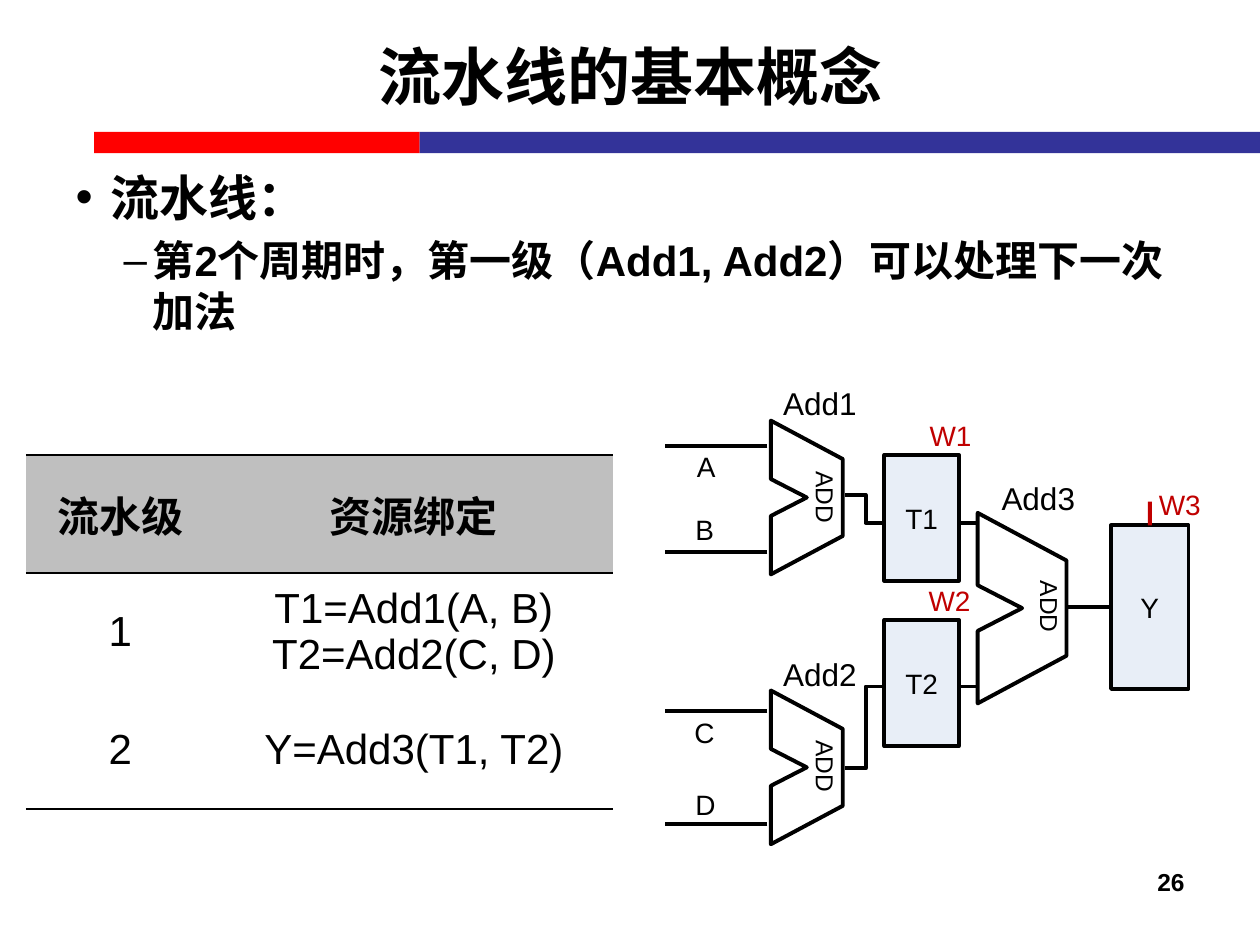
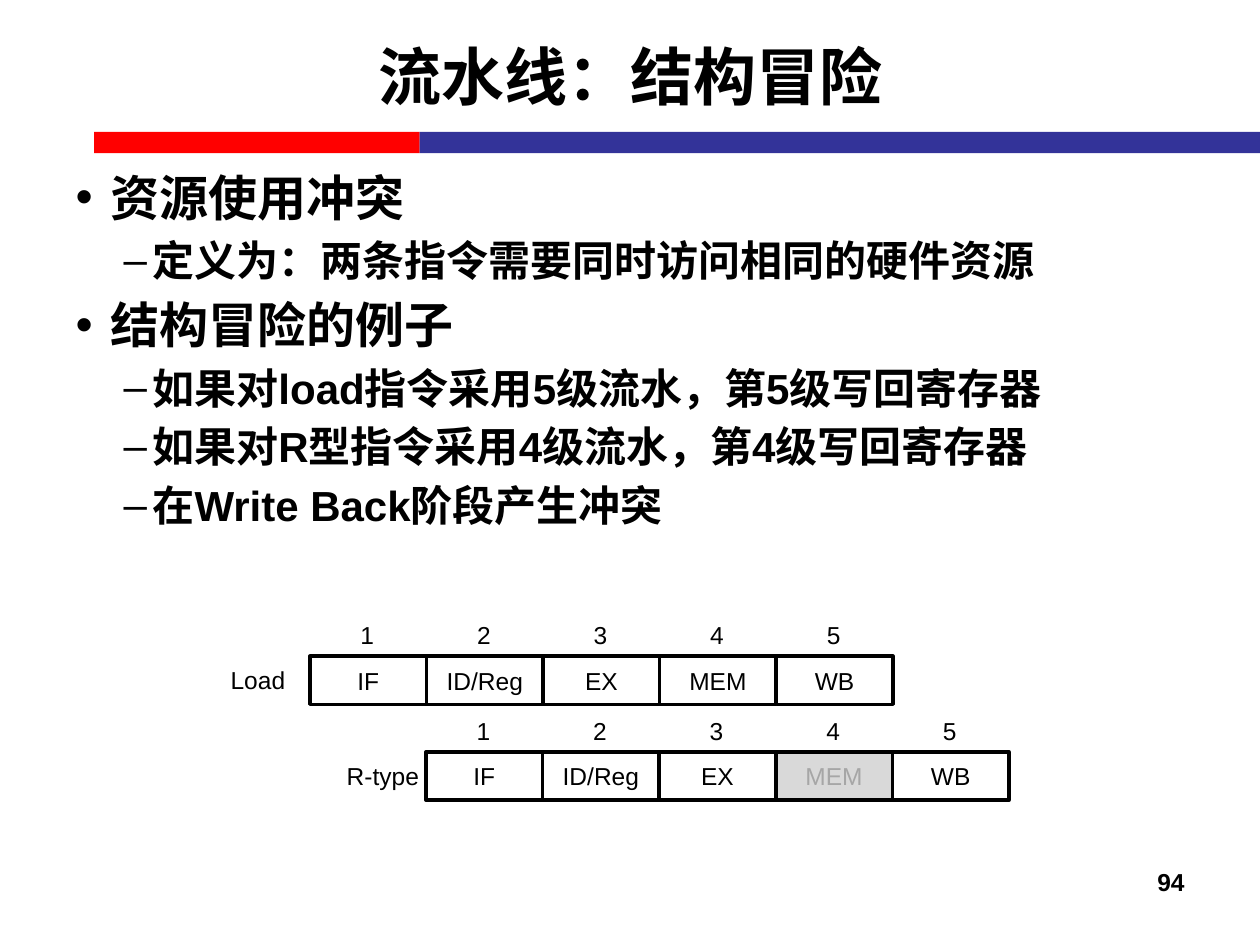
from dataclasses import dataclass

from lxml.etree import SubElement
from pptx import Presentation
from pptx.dml.color import RGBColor
from pptx.enum.shapes import MSO_CONNECTOR, MSO_SHAPE
from pptx.enum.text import MSO_ANCHOR, MSO_AUTO_SIZE, PP_ALIGN
from pptx.oxml.ns import qn
from pptx.util import Cm, Pt

# Shared look
COLORS = {
    "black": "000000", "red": "FF0000", "blue": "333399", "signal": "C00000",
    "header": "BFBFBF", "register": "E8EEF7", "unused": "D9D9D9", "faded": "A6A6A6",
}
FONT = "Arial"
WIRE_WIDTH = 2.25
LINE_HEIGHTS = {14: 0.61, 16: 0.68, 18: 0.76}  # label height by text size


@dataclass(frozen=True)
class Box:
    left: float
    top: float
    width: float
    height: float

    def lengths(self) -> tuple:
        return Cm(self.left), Cm(self.top), Cm(self.width), Cm(self.height)


@dataclass(frozen=True)
class Label:
    text: str
    left: float
    top: float
    width: float
    size: int = 16
    color: str = "black"
    rotation: int = 0


@dataclass(frozen=True)
class Bullet:
    text: str
    level: int = 0


@dataclass(frozen=True)
class BulletStyle:
    size: int
    left: float
    indent: float


@dataclass(frozen=True)
class Instruction:
    name: str
    left: float
    top: float
    unused_stage: str = ""


BULLET_STYLES = [BulletStyle(28, 0.71, -0.71), BulletStyle(24, 1.55, -0.58)]
TITLE_BOX = Box(1.27, 0.38, 22.86, 2.29)
BODY_BOX = Box(1.27, 3.25, 22.86, 12.57)
NUMBER_BOX = Box(18.21, 17.35, 5.92, 1.32)
BANDS = [("red", Box(1.9, 2.66, 6.56, 0.43)), ("blue", Box(8.46, 2.66, 16.94, 0.43))]

# Slide 1: table and adder circuit
TABLE_BOX = Box(0.52, 9.17, 11.84, 7.14)
COLUMN_WIDTHS = [3.81, 8.03]
TABLE_ROWS = [
    ("流水级", "资源绑定"),
    ("1", "T1=Add1(A, B)\nT2=Add2(C, D)"),
    ("2", "Y=Add3(T1, T2)"),
]
ADDERS = [
    Box(15.54, 8.48, 1.45, 3.1),
    Box(15.54, 13.92, 1.45, 3.1),
    Box(19.71, 10.34, 1.79, 3.84),
]
ADDER_OUTLINE = [(0, 0), (1, 0.25), (1, 0.75), (0, 1), (0, 0.62), (0.5, 0.5), (0, 0.38)]
INPUT_HEIGHTS = [8.99, 11.13, 14.33, 16.61]
REGISTER_WIRES = [
    [(17.04, 9.98), (17.45, 9.98), (17.45, 10.54), (19.71, 10.54)],
    [(17.04, 15.49), (17.45, 15.49), (17.45, 13.84), (19.71, 13.84)],
]
REGISTERS = [("T1", Box(17.83, 9.17, 1.5, 2.54)), ("T2", Box(17.83, 12.5, 1.5, 2.54))]
RESULT_BOX = Box(22.4, 10.59, 1.56, 3.3)
CIRCUIT_LABELS = [
    Label("Add1", 15.79, 7.75, 1.8, 18),
    Label("Add2", 15.79, 13.21, 1.8, 18),
    Label("Add3", 20.19, 9.66, 1.8, 18),
    Label("W1", 18.74, 8.44, 1.1, color="signal"),
    Label("W2", 18.72, 11.76, 1.1, color="signal"),
    Label("W3", 23.36, 9.83, 1.1, color="signal"),
    Label("A", 14.05, 9.07, 0.5),
    Label("B", 14.02, 10.34, 0.5),
    Label("C", 14, 14.43, 0.5),
    Label("D", 14.02, 15.88, 0.5),
    Label("ADD", 16.1, 9.73, 1.07, 14, rotation=90),
    Label("ADD", 16.1, 15.16, 1.07, 14, rotation=90),
    Label("ADD", 20.62, 11.94, 1.07, 14, rotation=90),
]

# Slide 2: pipeline stages
STAGES = ["IF", "ID/Reg", "EX", "MEM", "WB"]
STAGE_WIDTH, STAGE_HEIGHT = 2.35, 0.97
NAME_WIDTH = 1.55
INSTRUCTIONS = [
    Instruction("Load", 6.25, 13.23),
    Instruction("R-type", 8.59, 15.16, "MEM"),
]


def rgb(name: str) -> RGBColor:
    return RGBColor.from_string(COLORS[name])


def add_run(paragraph, text: str, size: int, color: str = "black", bold: bool = False) -> None:
    run = paragraph.add_run()
    run.text = text
    run.font.name = FONT
    run.font.size = Pt(size)
    run.font.bold = bold
    run.font.color.rgb = rgb(color)


def clear_margins(frame) -> None:
    frame.margin_left = frame.margin_right = frame.margin_top = frame.margin_bottom = 0


def style_shape(shape, fill: str = "", line: str = "", line_width: float = WIRE_WIDTH) -> None:
    shape.shadow.inherit = False
    if fill:
        shape.fill.solid()
        shape.fill.fore_color.rgb = rgb(fill)
    else:
        shape.fill.background()
    if line:
        shape.line.color.rgb = rgb(line)
        shape.line.width = Pt(line_width)
    else:
        shape.line.fill.background()


def add_text_rectangle(slide, box: Box, text: str, size: int, fill: str = "",
                       color: str = "black", line_width: float = WIRE_WIDTH):
    shape = slide.shapes.add_shape(MSO_SHAPE.RECTANGLE, *box.lengths())
    style_shape(shape, fill, "black", line_width)
    frame = shape.text_frame
    frame.word_wrap = False
    frame.vertical_anchor = MSO_ANCHOR.MIDDLE
    clear_margins(frame)
    frame.paragraphs[0].alignment = PP_ALIGN.CENTER
    add_run(frame.paragraphs[0], text, size, color)
    return shape


def add_label(slide, label: Label, alignment=PP_ALIGN.LEFT) -> None:
    box = Box(label.left, label.top, label.width, LINE_HEIGHTS[label.size])
    shape = slide.shapes.add_textbox(*box.lengths())
    shape.rotation = label.rotation
    shape.text_frame.word_wrap = False
    clear_margins(shape.text_frame)
    paragraph = shape.text_frame.paragraphs[0]
    paragraph.alignment = alignment
    add_run(paragraph, label.text, label.size, label.color)


def add_wire(slide, start: tuple, end: tuple, color: str = "black"):
    lengths = [Cm(value) for value in start + end]
    connector = slide.shapes.add_connector(MSO_CONNECTOR.STRAIGHT, *lengths)
    connector.line.color.rgb = rgb(color)
    connector.line.width = Pt(WIRE_WIDTH)
    SubElement(connector._element.spPr, qn("a:effectLst"))
    return connector


def add_outline(slide, points: list, close: bool) -> None:
    vertices = [(Cm(x), Cm(y)) for x, y in points]
    builder = slide.shapes.build_freeform(*vertices[0])
    builder.add_line_segments(vertices[1:], close=close)
    style_shape(builder.convert_to_shape(), line="black")


def place(shape, box: Box) -> None:
    shape.left, shape.top, shape.width, shape.height = box.lengths()


def add_content_slide(presentation, title: str, bullets: list, number: int):
    slide = presentation.slides.add_slide(presentation.slide_layouts[1])
    for color, box in BANDS:
        style_shape(slide.shapes.add_shape(MSO_SHAPE.RECTANGLE, *box.lengths()), color)

    place(slide.shapes.title, TITLE_BOX)
    title_paragraph = slide.shapes.title.text_frame.paragraphs[0]
    title_paragraph.alignment = PP_ALIGN.CENTER
    add_run(title_paragraph, title, 36, bold=True)

    body = slide.placeholders[1]
    place(body, BODY_BOX)
    frame = body.text_frame
    frame.auto_size = MSO_AUTO_SIZE.NONE
    for index, bullet in enumerate(bullets):
        paragraph = frame.add_paragraph() if index else frame.paragraphs[0]
        paragraph.level = bullet.level
        if index == 0:
            paragraph.space_before = Pt(0)
        style = BULLET_STYLES[bullet.level]
        properties = paragraph._p.get_or_add_pPr()
        properties.set("marL", str(Cm(style.left)))
        properties.set("indent", str(Cm(style.indent)))
        add_run(paragraph, bullet.text, style.size, bold=True)

    number_shape = slide.shapes.add_textbox(*NUMBER_BOX.lengths())
    number_shape.text_frame.word_wrap = True
    number_paragraph = number_shape.text_frame.paragraphs[0]
    number_paragraph.alignment = PP_ALIGN.RIGHT
    add_run(number_paragraph, str(number), 14, bold=True)
    return slide


def set_borders(cell, visible: set) -> None:
    properties = cell._tc.get_or_add_tcPr()
    for side in "LRTB":
        border = SubElement(properties, qn(f"a:ln{side}"), w=str(Pt(1)))
        if side in visible:
            fill = SubElement(border, qn("a:solidFill"))
            SubElement(fill, qn("a:srgbClr"), val=COLORS["black"])
        else:
            SubElement(border, qn("a:noFill"))


def add_binding_table(slide) -> None:
    row_count = len(TABLE_ROWS)
    table = slide.shapes.add_table(row_count, len(COLUMN_WIDTHS), *TABLE_BOX.lengths()).table
    table.first_row = table.horz_banding = False
    for column, width in zip(table.columns, COLUMN_WIDTHS):
        column.width = Cm(width)
    borders = [{"T", "B"}, {"T"}, {"B"}]
    for row_index, texts in enumerate(TABLE_ROWS):
        table.rows[row_index].height = Cm(TABLE_BOX.height / row_count)
        is_header = row_index == 0
        for column_index, text in enumerate(texts):
            cell = table.cell(row_index, column_index)
            set_borders(cell, borders[row_index])
            if is_header:
                cell.fill.solid()
                cell.fill.fore_color.rgb = rgb("header")
            else:
                cell.fill.background()
            cell.vertical_anchor = MSO_ANCHOR.MIDDLE
            frame = cell.text_frame
            for line_index, line in enumerate(text.split("\n")):
                paragraph = frame.add_paragraph() if line_index else frame.paragraphs[0]
                paragraph.alignment = PP_ALIGN.CENTER
                add_run(paragraph, line, 24, bold=is_header)


def add_circuit(slide) -> None:
    for height in INPUT_HEIGHTS:
        add_wire(slide, (15.47, height), (13.41, height))
    for points in REGISTER_WIRES:
        add_outline(slide, points, close=False)
    for box in ADDERS:
        points = [(box.left + x * box.width, box.top + y * box.height) for x, y in ADDER_OUTLINE]
        add_outline(slide, points, close=True)
    for name, box in REGISTERS:
        add_text_rectangle(slide, box, name, 16, "register")

    # Result register with its input and write signal
    result = add_text_rectangle(slide, RESULT_BOX, "Y", 16, "register")
    add_wire(slide, (21.5, 12.24), (22.4, 12.24)).end_connect(result, 1)
    add_wire(slide, (23.18, 10.59), (23.18, 10.11), "signal").begin_connect(result, 0)
    for label in CIRCUIT_LABELS:
        add_label(slide, label)


def add_pipeline(slide, instruction: Instruction) -> None:
    left, top = instruction.left, instruction.top
    add_label(slide, Label(instruction.name, left - 1.6, top + 0.18, NAME_WIDTH, 14))
    for index, stage in enumerate(STAGES):
        stage_left = left + index * STAGE_WIDTH
        add_label(slide, Label(str(index + 1), stage_left + 0.76, top - 0.73, 0.79, 14),
                  PP_ALIGN.CENTER)
        fill, color = ("unused", "faded") if stage == instruction.unused_stage else ("", "black")
        box = Box(stage_left, top, STAGE_WIDTH, STAGE_HEIGHT)
        add_text_rectangle(slide, box, stage, 14, fill, color, line_width=2)


def main() -> None:
    presentation = Presentation()
    presentation.slide_width, presentation.slide_height = Cm(25.4), Cm(19.05)

    concept = add_content_slide(presentation, "流水线的基本概念", [
        Bullet("流水线："),
        Bullet("第2个周期时，第一级（Add1, Add2）可以处理下一次加法", 1),
    ], 26)
    add_binding_table(concept)
    add_circuit(concept)

    hazard = add_content_slide(presentation, "流水线：结构冒险", [
        Bullet("资源使用冲突"),
        Bullet("定义为：两条指令需要同时访问相同的硬件资源", 1),
        Bullet("结构冒险的例子"),
        Bullet("如果对load指令采用5级流水，第5级写回寄存器", 1),
        Bullet("如果对R型指令采用4级流水，第4级写回寄存器", 1),
        Bullet("在Write Back阶段产生冲突", 1),
    ], 94)
    for instruction in INSTRUCTIONS:
        add_pipeline(hazard, instruction)

    presentation.save("out.pptx")


if __name__ == "__main__":
    main()
